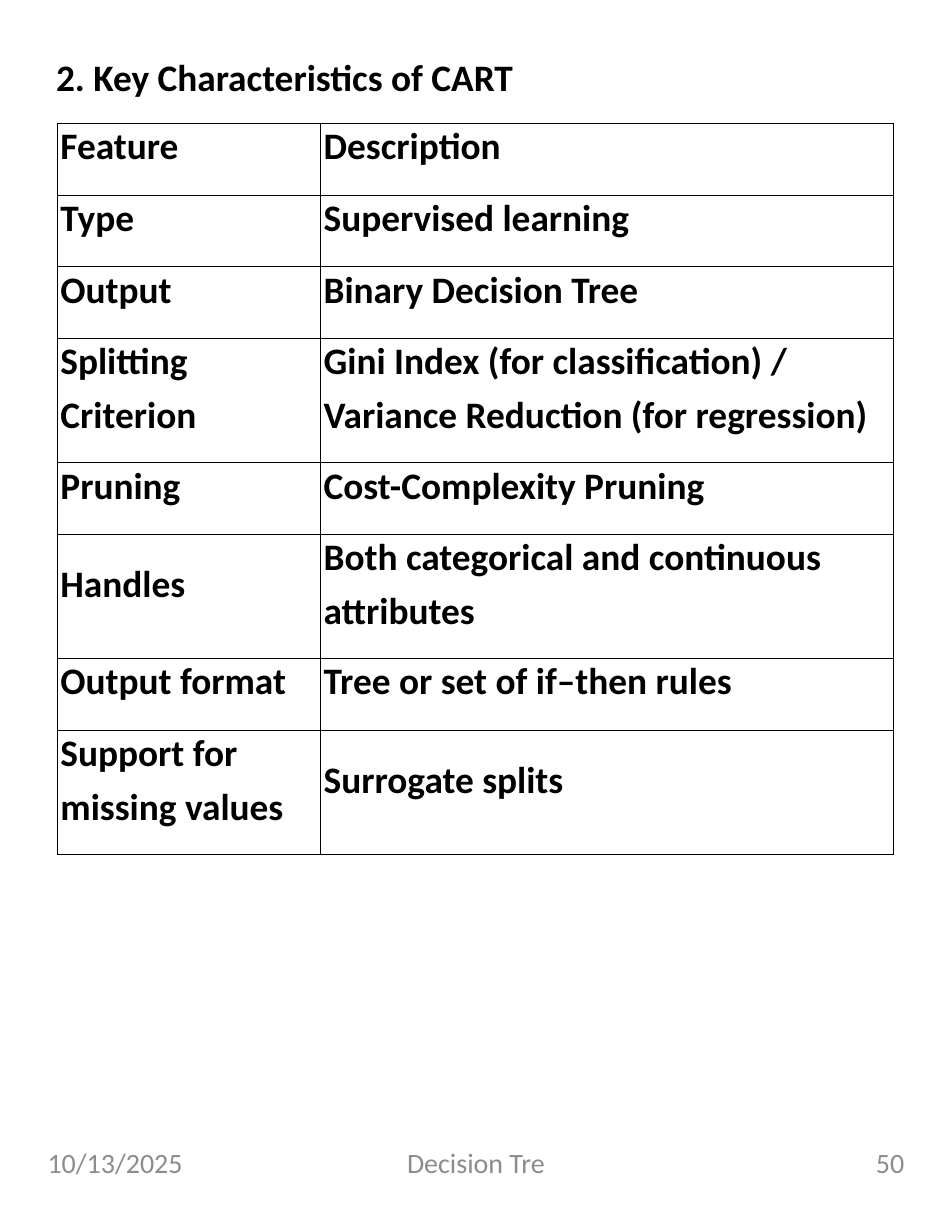
from dataclasses import dataclass

from lxml import etree
from pptx import Presentation
from pptx import util as u
from pptx.dml.color import RGBColor
from pptx.enum import text
from pptx.oxml.ns import qn


@dataclass(frozen=True)
class Theme:
    """Colours, font and type sizes of the slide."""
    font: str = "Calibri"
    ink: str = "000000"
    muted: str = "8C8C8C"
    paper: str = "FFFFFF"
    body_size: float = 24
    footer_size: float = 18
    line_gap: float = 5.2
    border: float = 0.5


THEME = Theme()
WIDTH, HEIGHT = 8.5, 11
COLUMNS = (2.35, 5.12)
LINE_HEIGHT, ROW_PADDING = 0.47, 0.17
ROWS = [
    ("Feature", "Description"),
    ("Type", "Supervised learning"),
    ("Output", "Binary Decision Tree"),
    ("Splitting\nCriterion",
     "Gini Index (for classification) /\nVariance Reduction (for regression)"),
    ("Pruning", "Cost-Complexity Pruning"),
    ("Handles", "Both categorical and continuous\nattributes"),
    ("Output format", "Tree or set of if–then rules"),
    ("Support for\nmissing values", "Surrogate splits"),
]


def write(frame, content, size=THEME.body_size, color=THEME.ink, bold=False,
          align=text.PP_ALIGN.LEFT):
    """Fill a text frame with one formatted paragraph per line."""
    for index, line in enumerate(content.split("\n")):
        paragraph = frame.add_paragraph() if index else frame.paragraphs[0]
        paragraph.text = line
        paragraph.alignment = align
        if index:
            paragraph.space_before = u.Pt(THEME.line_gap)
        font = paragraph.runs[0].font
        font.name, font.size, font.bold = THEME.font, u.Pt(size), bold
        font.color.rgb = RGBColor.from_string(color)


def set_margins(target, left=0.0, top=0.0):
    """Set the left and top margins of a cell or frame and clear the others."""
    target.margin_left, target.margin_top = u.Inches(left), u.Inches(top)
    target.margin_right = target.margin_bottom = 0


def add_title(slide, box, content):
    """Move and format the title placeholder."""
    title = slide.shapes.title
    title.left, title.top, title.width, title.height = map(u.Inches, box)
    frame = title.text_frame
    frame.auto_size = text.MSO_AUTO_SIZE.NONE
    frame.vertical_anchor = text.MSO_ANCHOR.TOP
    set_margins(frame, left=0.01, top=0.01)
    write(frame, content, bold=True)


def add_borders(cell):
    """Draw a thin line on each side of a cell."""
    properties = cell._tc.get_or_add_tcPr()
    for position, side in enumerate(("lnL", "lnR", "lnT", "lnB")):
        line = etree.Element(qn(f"a:{side}"), w=str(u.Pt(THEME.border)))
        fill = etree.SubElement(line, qn("a:solidFill"))
        etree.SubElement(fill, qn("a:srgbClr"), val=THEME.ink)
        properties.insert(position, line)


def add_feature_table(slide, left, top):
    """Place the table, with row heights that follow the line counts."""
    line_counts = [max(entry.count("\n") + 1 for entry in row) for row in ROWS]
    heights = [ROW_PADDING + LINE_HEIGHT * count for count in line_counts]
    table = slide.shapes.add_table(
        len(ROWS), len(COLUMNS),
        *map(u.Inches, (left, top, sum(COLUMNS), sum(heights)))).table
    table.first_row = table.horz_banding = False
    for column, width in zip(table.columns, COLUMNS):
        column.width = u.Inches(width)
    for row, height, count, entries in zip(table.rows, heights, line_counts, ROWS):
        row.height = u.Inches(height)
        for cell, entry in zip(row.cells, entries):
            missing_lines = count - 1 - entry.count("\n")
            set_margins(cell, left=0.03, top=0.01 + missing_lines * 0.24)
            cell.fill.solid()
            cell.fill.fore_color.rgb = RGBColor.from_string(THEME.paper)
            add_borders(cell)
            write(cell.text_frame, entry, bold=True)


def add_footer(slide, left, top, width, height):
    """Place the date, the footer text and the page number in one band."""
    side, middle = width * 0.256, width * 0.355
    parts = [
        ("10/13/2025", left, side, text.PP_ALIGN.LEFT),
        ("Decision Tre", left + (width - middle) / 2, middle, text.PP_ALIGN.CENTER),
        ("50", left + width - side, side, text.PP_ALIGN.RIGHT),
    ]
    for content, part_left, part_width, align in parts:
        box = slide.shapes.add_textbox(
            *map(u.Inches, (part_left, top, part_width, height)))
        box.text_frame.word_wrap = True
        set_margins(box.text_frame)
        write(box.text_frame, content, size=THEME.footer_size,
              color=THEME.muted, align=align)


def main():
    """Build the slide and save it."""
    presentation = Presentation()
    presentation.slide_width = u.Inches(WIDTH)
    presentation.slide_height = u.Inches(HEIGHT)
    slide = presentation.slides.add_slide(presentation.slide_layouts[5])
    add_title(slide, (0.49, 0.47, 4.11, 0.43), "2. Key Characteristics of CART")
    add_feature_table(slide, WIDTH * 0.06, HEIGHT * 0.1)
    add_footer(slide, WIDTH * 0.05, HEIGHT * 0.93, WIDTH * 0.9, HEIGHT * 0.05)
    presentation.save("out.pptx")


if __name__ == "__main__":
    main()
